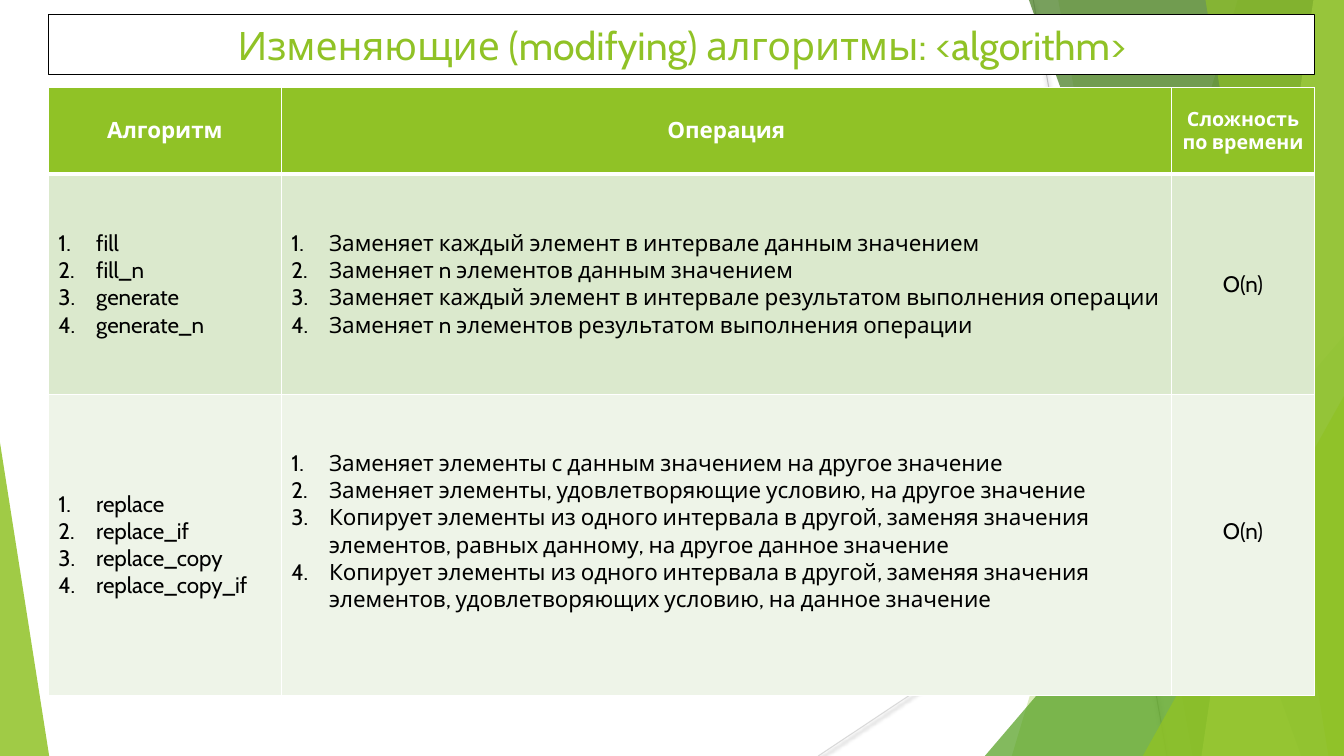
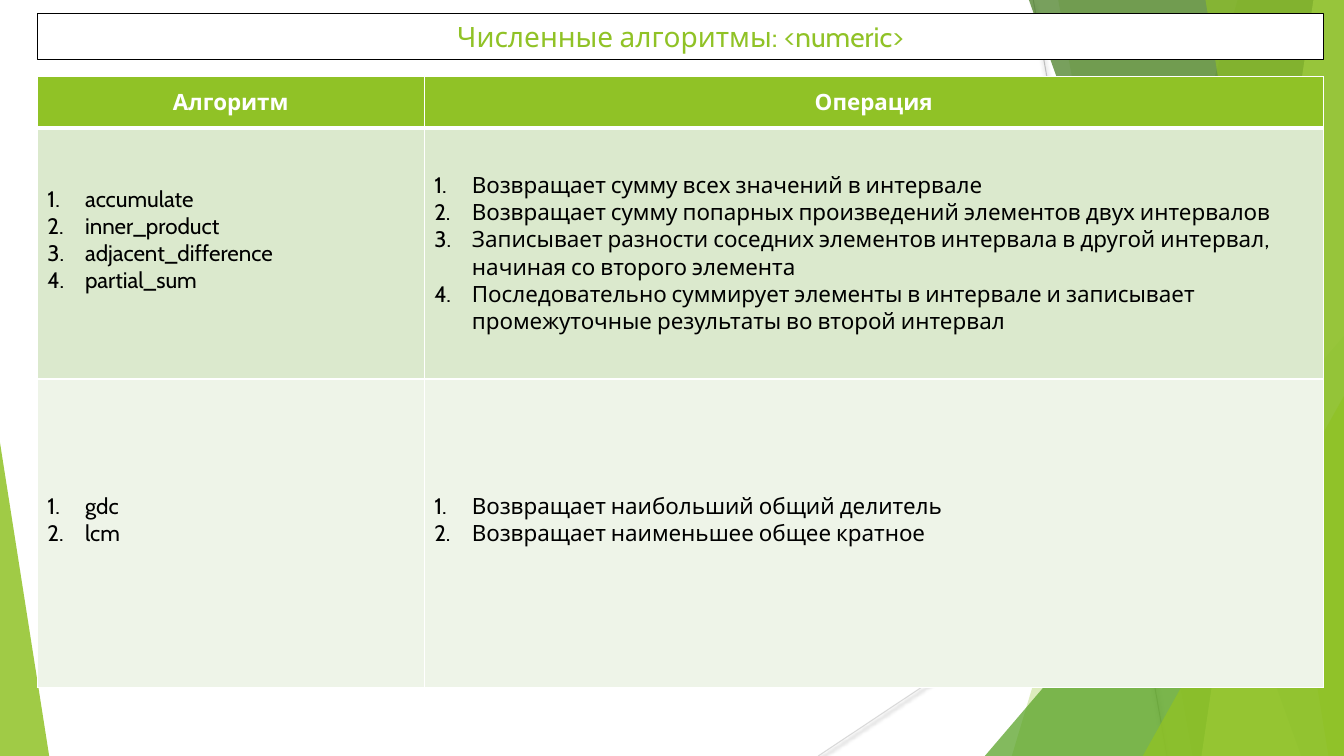
from lxml import etree
from pptx import Presentation
from pptx import util as u
from pptx.dml.color import RGBColor
from pptx.enum import shapes, text
from pptx.oxml import ns

COLORS = {"green": "90C226", "leaf": "54A021", "forest": "3F7819", "lime": "C0E474",
          "row_odd": "DBE9CD", "row_even": "EEF4E8", "white": "FFFFFF", "black": "000000",
          "gray": "BFBFBF", "light_gray": "D9D9D9"}
FONT = "Cabin"
WIDTH, HEIGHT = 33.87, 19.05  # all lengths are centimetres
INDENT = 0.95
MARGIN = 0.13
LIFT = 0.68  # extra bottom margin of the cells set one text line higher

# x1, y1, x2, y2, colour
RAYS = [(26.04, 0, 29.41, HEIGHT, "gray"), (WIDTH, 10.24, 20.62, HEIGHT, "light_gray")]
# band: top x, bottom x; triangle: left, top, width, apex (0 left, 1 right); then colour, opacity
FACETS = [
    ("band", (31.19, 25.5), "green", 30),
    ("band", (26.67, 30.05), "green", 20),
    ("triangle", (24.82, 8.46, 9.05, 1), "leaf", 72),
    ("band", (25.93, 32.79), "forest", 70),
    ("band", (33.1, 30.28), "lime", 70),
    ("band", (30.38, 33.48), "green", 65),
    ("triangle", (28.8, 9.98, 5.07, 1), "green", 80),
    ("triangle", (0, 11.15, 1.24, 0), "green", 85),
]

# In the rows a list is numbered and a string is centred.
SLIDES = [
    {
        "title": "Изменяющие (modifying) алгоритмы: <algorithm>",
        "title_size": 28, "title_top": 0.36, "title_height": 1.52,
        "left": 1.22, "top": 2.21,
        "cols": [5.87, 22.43, 3.61], "heights": [2.18, 5.56, 7.57],
        "header": [("Алгоритм", 16), ("Операция", 16), ("Сложность по времени", 14)],
        "rows": [
            [["fill", "fill_n", "generate", "generate_n"],
             ["Заменяет каждый элемент в интервале данным значением",
              "Заменяет n элементов данным значением",
              "Заменяет каждый элемент в интервале результатом выполнения операции",
              "Заменяет n элементов результатом выполнения операции"],
             "O(n)"],
            [["replace", "replace_if", "replace_copy", "replace_copy_if"],
             ["Заменяет элементы с данным значением на другое значение",
              "Заменяет элементы, удовлетворяющие условию, на другое значение",
              "Копирует элементы из одного интервала в другой, заменяя значения "
              "элементов, равных данному, на другое данное значение",
              "Копирует элементы из одного интервала в другой, заменяя значения "
              "элементов, удовлетворяющих условию, на данное значение"],
             "O(n)"],
        ],
        "lifted": {(2, 1), (2, 2)},
    },
    {
        "title": "Численные алгоритмы: <numeric>",
        "title_size": 20, "title_top": 0.33, "title_height": 1.17,
        "left": 0.94, "top": 1.93,
        "cols": [9.75, 22.66], "heights": [1.3, 6.32, 7.77],
        "header": [("Алгоритм", 16), ("Операция", 16)],
        "rows": [
            [["accumulate", "inner_product", "adjacent_difference", "partial_sum"],
             ["Возвращает сумму всех значений в интервале",
              "Возвращает сумму попарных произведений элементов двух интервалов",
              "Записывает разности соседних элементов интервала в другой интервал, "
              "начиная со второго элемента",
              "Последовательно суммирует элементы в интервале и записывает "
              "промежуточные результаты во второй интервал"]],
            [["gdc", "lcm"],
             ["Возвращает наибольший общий делитель",
              "Возвращает наименьшее общее кратное"]],
        ],
        "lifted": {(1, 0), (2, 0), (2, 1)},
    },
]


def rgb(name):
    return RGBColor.from_string(COLORS[name])


def sub(parent, tag, **attrs):
    el = etree.SubElement(parent, ns.qn(tag))
    for key, value in attrs.items():
        el.set(key, str(value))
    return el


def set_fill(obj, color):
    obj.fill.solid()
    obj.fill.fore_color.rgb = rgb(color)


def write(p, words, color, size, bold=False, align=text.PP_ALIGN.CENTER):
    p.alignment = align
    r = p.add_run()
    r.text = words
    r.font.color.rgb = rgb(color)
    for key, value in {"name": FONT, "size": u.Pt(size), "bold": bold}.items():
        setattr(r.font, key, value)


def number(p):
    pPr = p._p.get_or_add_pPr()
    pPr.set("marL", str(u.Cm(INDENT)))
    pPr.set("indent", str(-u.Cm(INDENT)))
    sub(pPr, "a:buFont", typeface=FONT)
    sub(pPr, "a:buAutoNum", type="arabicPeriod")


def add_ray(s, x1, y1, x2, y2, color):
    ray = s.shapes.add_connector(shapes.MSO_CONNECTOR.STRAIGHT,
                                 *map(u.Cm, (x1, y1, x2, y2)))
    ray.line.color.rgb = rgb(color)
    ray.line.width = u.Pt(0.75)
    effects = sub(ray.element.spPr, "a:effectLst")
    shadow = sub(effects, "a:outerShdw", blurRad=u.Pt(3.1), dist=u.Pt(1.6),
                 dir=5400000, rotWithShape=0)
    sub(sub(shadow, "a:srgbClr", val=COLORS["black"]), "a:alpha", val=38000)


def add_facet(s, kind, place, color, opacity):
    if kind == "band":
        top_x, bottom_x = place
        start, *rest = [(u.Cm(x), u.Cm(y)) for x, y in
                        ((top_x, 0), (WIDTH, 0), (WIDTH, HEIGHT), (bottom_x, HEIGHT))]
        builder = s.shapes.build_freeform(*start, scale=1.0)
        builder.add_line_segments(rest, close=True)
        sp = builder.convert_to_shape()
    else:
        left, top, width, apex = place
        sp = s.shapes.add_shape(shapes.MSO_SHAPE.ISOSCELES_TRIANGLE,
                                *map(u.Cm, (left, top, width, HEIGHT - top)))
        sp.adjustments[0] = apex
    sp.shadow.inherit = False
    sp.line.fill.background()
    set_fill(sp, color)
    tint = sp.element.spPr.find(ns.qn("a:solidFill"))[0]
    sub(tint, "a:alpha", val=opacity * 1000)


def add_background(s):
    for ray in RAYS:
        add_ray(s, *ray)
    for facet in FACETS:
        add_facet(s, *facet)


def add_title(s, data):
    sp = s.shapes.add_shape(
        shapes.MSO_SHAPE.RECTANGLE,
        *map(u.Cm, (data["left"], data["title_top"], sum(data["cols"]), data["title_height"])))
    sp.shadow.inherit = False
    set_fill(sp, "white")
    sp.line.color.rgb = rgb("black")
    sp.line.width = u.Pt(0.75)
    tf = sp.text_frame
    tf.word_wrap = True
    tf.vertical_anchor = text.MSO_ANCHOR.MIDDLE
    write(tf.paragraphs[0], data["title"], "green", data["title_size"])


def set_borders(cell, top, bottom):
    tcPr = cell._tc.get_or_add_tcPr()
    widths = {"a:lnL": 1, "a:lnR": 1, "a:lnT": top, "a:lnB": bottom}
    for i, (tag, width) in enumerate(widths.items()):
        ln = sub(tcPr, tag, w=u.Pt(width))
        sub(sub(ln, "a:solidFill"), "a:srgbClr", val=COLORS["white"])
        tcPr.insert(i, ln)


def fill_cell(cell, content):
    tf = cell.text_frame
    if isinstance(content, str):
        write(tf.paragraphs[0], content, "black", 16)
        return
    for i, item in enumerate(content):
        p = tf.add_paragraph() if i else tf.paragraphs[0]
        write(p, item, "black", 16, align=text.PP_ALIGN.LEFT)
        number(p)


def add_algorithm_table(s, data):
    cols, heights = data["cols"], data["heights"]
    table = s.shapes.add_table(
        len(heights), len(cols),
        *map(u.Cm, (data["left"], data["top"], sum(cols), sum(heights)))).table
    for col, width in zip(table.columns, cols):
        col.width = u.Cm(width)
    for row, height in zip(table.rows, heights):
        row.height = u.Cm(height)
    fills = ["green", "row_odd", "row_even"]
    for i, contents in enumerate([data["header"], *data["rows"]]):
        for j, content in enumerate(contents):
            cell = table.cell(i, j)
            cell.vertical_anchor = text.MSO_ANCHOR.MIDDLE
            cell.margin_bottom = u.Cm(MARGIN + LIFT * ((i, j) in data["lifted"]))
            set_fill(cell, fills[i])
            set_borders(cell, top=3 if i == 1 else 1, bottom=3 if i == 0 else 1)
            if i == 0:
                label, size = content
                write(cell.text_frame.paragraphs[0], label, "white", size, bold=True)
            else:
                fill_cell(cell, content)


def main():
    prs = Presentation()
    prs.slide_width, prs.slide_height = u.Cm(WIDTH), u.Cm(HEIGHT)
    for data in SLIDES:
        s = prs.slides.add_slide(prs.slide_layouts[6])
        add_background(s)
        add_title(s, data)
        add_algorithm_table(s, data)
    prs.save("out.pptx")


if __name__ == "__main__":
    main()
